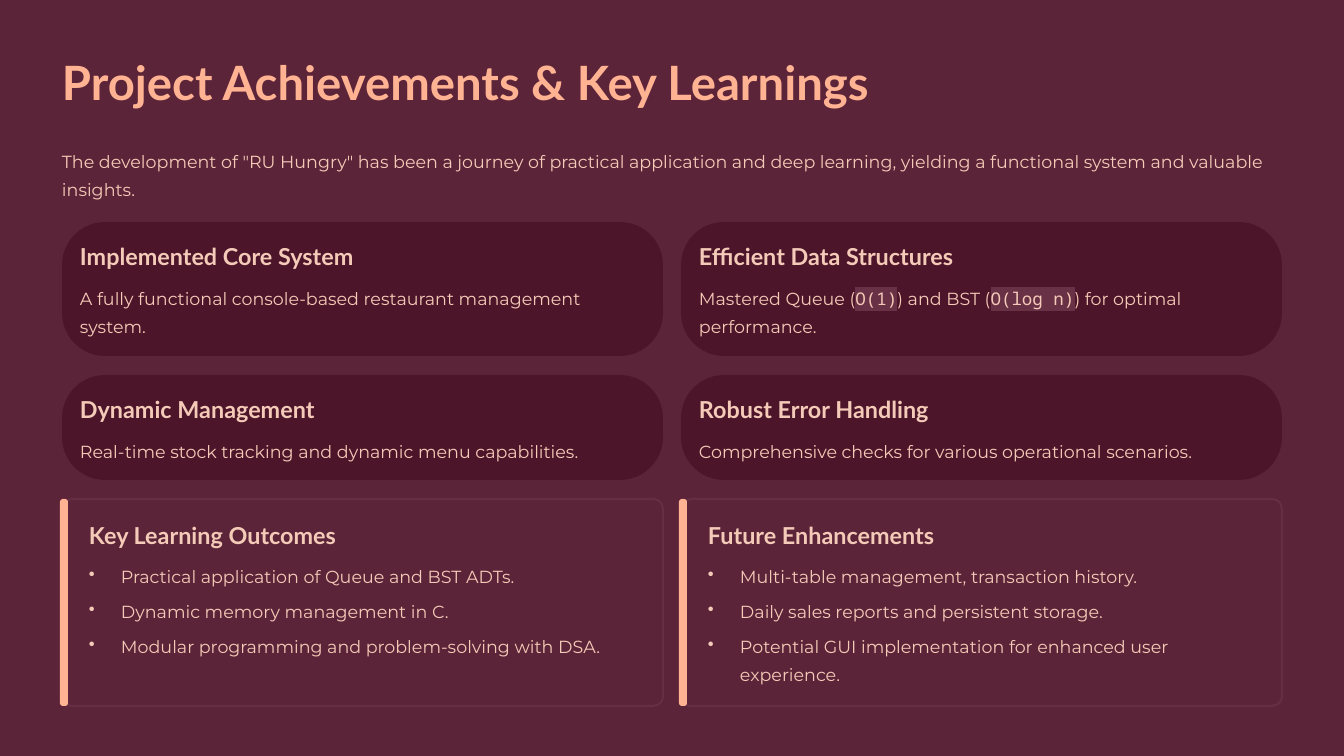
from lxml import etree
from pptx import Presentation
from pptx import util as u
from pptx.dml.color import RGBColor
from pptx.enum import shapes, text
from pptx.oxml import ns

HUES = {
    "back": "5C2438",
    "card": "4D1529",
    "edge": "662E42",
    "code": "693145",
    "peach": "FFB393",
    "text": "F4CAB8",
}


class Deck:
    """Holds the slide and its style, with lengths in px at 84 to the inch."""

    def __init__(self):
        self.prs = Presentation()
        self.prs.slide_width, self.prs.slide_height = self.px(1344, 756)
        self.slide = self.prs.slides.add_slide(self.prs.slide_layouts[6])
        self.paint(self.slide.background.fill, "back")

    def px(self, *nums):
        sizes = [u.Emu(round(n * 914400 / 84)) for n in nums]
        return sizes if len(sizes) > 1 else sizes[0]

    def paint(self, fill, hue):
        fill.solid()
        fill.fore_color.rgb = RGBColor.from_string(HUES[hue])

    def box(self, x, y, w, h, bend, hue, edge=None):
        shape = self.slide.shapes.add_shape(
            shapes.MSO_SHAPE.ROUNDED_RECTANGLE, *self.px(x, y, w, h))
        shape.shadow.inherit = False
        shape.adjustments[0] = bend / min(w, h)
        self.paint(shape.fill, hue)
        if edge:
            self.paint(shape.line.fill, edge)
            shape.line.width = u.Pt(1.8)
        else:
            shape.line.fill.background()

    def label(self, x, y, w, h, lines, size=15, lead=24, face="Montserrat",
              hue="text", bold=False, dots=False):
        frame = self.slide.shapes.add_textbox(*self.px(x, y, w, h)).text_frame
        frame.word_wrap = True
        frame.vertical_anchor = text.MSO_ANCHOR.TOP
        frame.margin_left = frame.margin_right = 0
        frame.margin_top = frame.margin_bottom = 0
        for num, line in enumerate(lines):
            para = frame.add_paragraph() if num else frame.paragraphs[0]
            para.line_spacing = u.Pt(lead)
            if dots:
                self.dot(para)
            font = para.font
            font.name, font.size, font.bold = face, u.Pt(size), bold
            self.paint(font.fill, hue)
            for pos, part in enumerate(line.split("`")):
                run = para.add_run()
                run.text = part
                if pos % 2:
                    self.code(run)

    def dot(self, para):
        para.space_after = u.Pt(6)
        props = para._p.get_or_add_pPr()
        props.set("marL", str(self.px(32)))
        props.set("indent", str(-self.px(32)))
        etree.SubElement(props, ns.qn("a:buChar"), char="•")

    def code(self, run):
        run.font.name = "Noto Sans Mono"
        mark = etree.Element(ns.qn("a:highlight"))
        etree.SubElement(mark, ns.qn("a:srgbClr"), val=HUES["code"])
        run._r.get_or_add_rPr().insert(0, mark)

    def head(self, x, y, line):
        self.label(x, y, 564, 29, [line], 20, 25.5, "Lato", bold=True)

    def card(self, x, y, h, title, body):
        self.box(x, y, 601, h, 43, "card")
        self.head(x + 18, y + 18, title)
        self.label(x + 18, y + 59, 564, h - 77, [body])

    def panel(self, x, y, title, items):
        self.box(x, y, 601, 207, 10, "back", "edge")
        self.box(x - 2, y, 8, 207, 3, "peach")
        self.head(x + 27, y + 20, title)
        self.label(x + 27, y + 60, 554, 127, items, dots=True)


CARDS = [
    (222, 134, [
        ("Implemented Core System",
         "A fully functional console-based restaurant management system."),
        ("Efficient Data Structures",
         "Mastered Queue (`O(1)`) and BST (`O(log n)`) for optimal performance."),
    ]),
    (375, 105, [
        ("Dynamic Management",
         "Real-time stock tracking and dynamic menu capabilities."),
        ("Robust Error Handling",
         "Comprehensive checks for various operational scenarios."),
    ]),
]
PANELS = [
    ("Key Learning Outcomes", [
        "Practical application of Queue and BST ADTs.",
        "Dynamic memory management in C.",
        "Modular programming and problem-solving with DSA.",
    ]),
    ("Future Enhancements", [
        "Multi-table management, transaction history.",
        "Daily sales reports and persistent storage.",
        "Potential GUI implementation for enhanced user experience.",
    ]),
]
LEFT, STEP = 62, 619


def main():
    deck = Deck()
    deck.label(LEFT, 50, 882, 60, ["Project Achievements & Key Learnings"],
               40.5, 51, "Lato", "peach", True)
    deck.label(LEFT, 144, 1219, 57, [
        'The development of "RU Hungry" has been a journey of practical '
        "application and deep learning, yielding a functional system and "
        "valuable insights."])
    for y, h, row in CARDS:
        for col, (title, body) in enumerate(row):
            deck.card(LEFT + col * STEP, y, h, title, body)
    for col, (title, items) in enumerate(PANELS):
        deck.panel(LEFT + col * STEP, 499, title, items)
    deck.prs.save("out.pptx")


if __name__ == "__main__":
    main()
